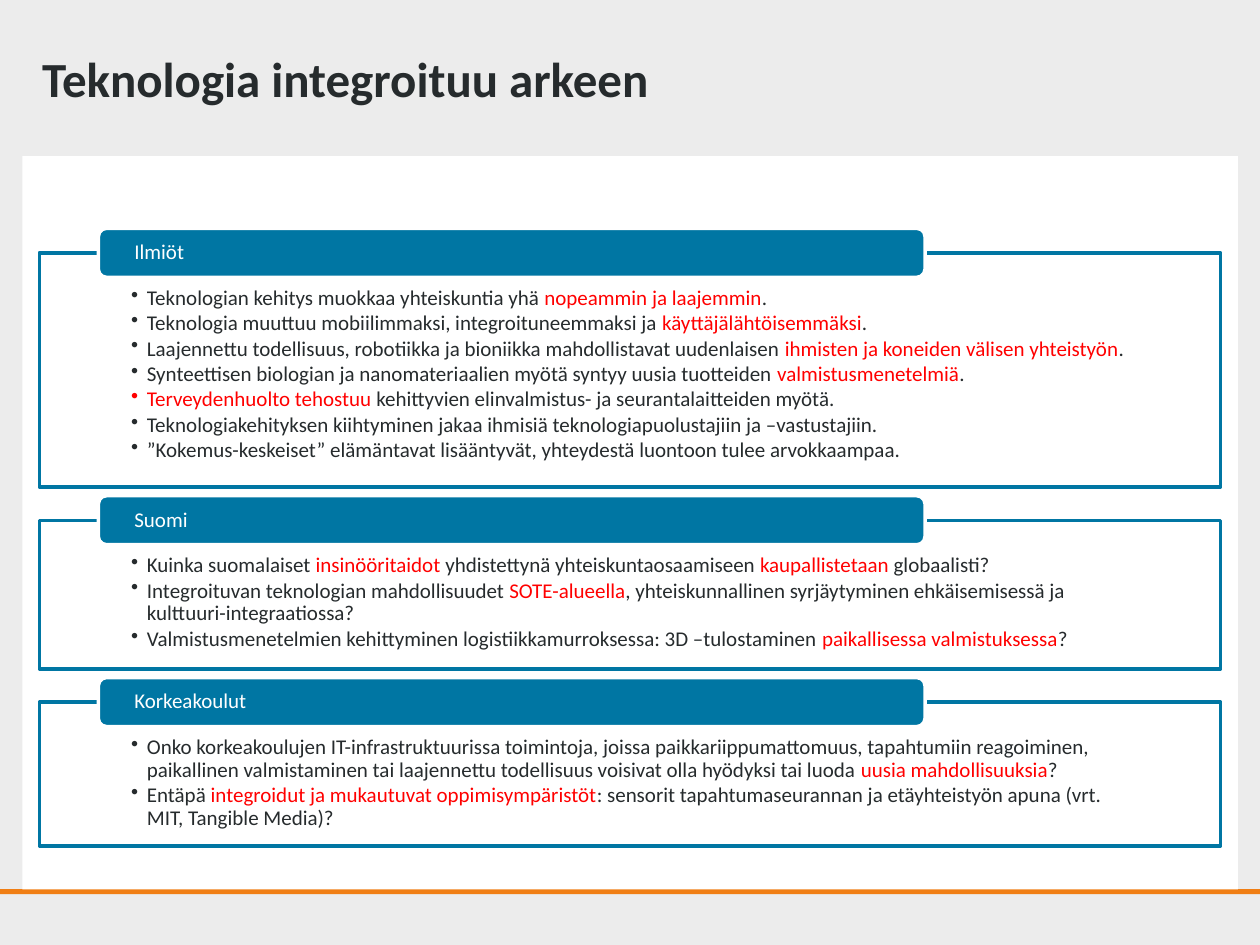
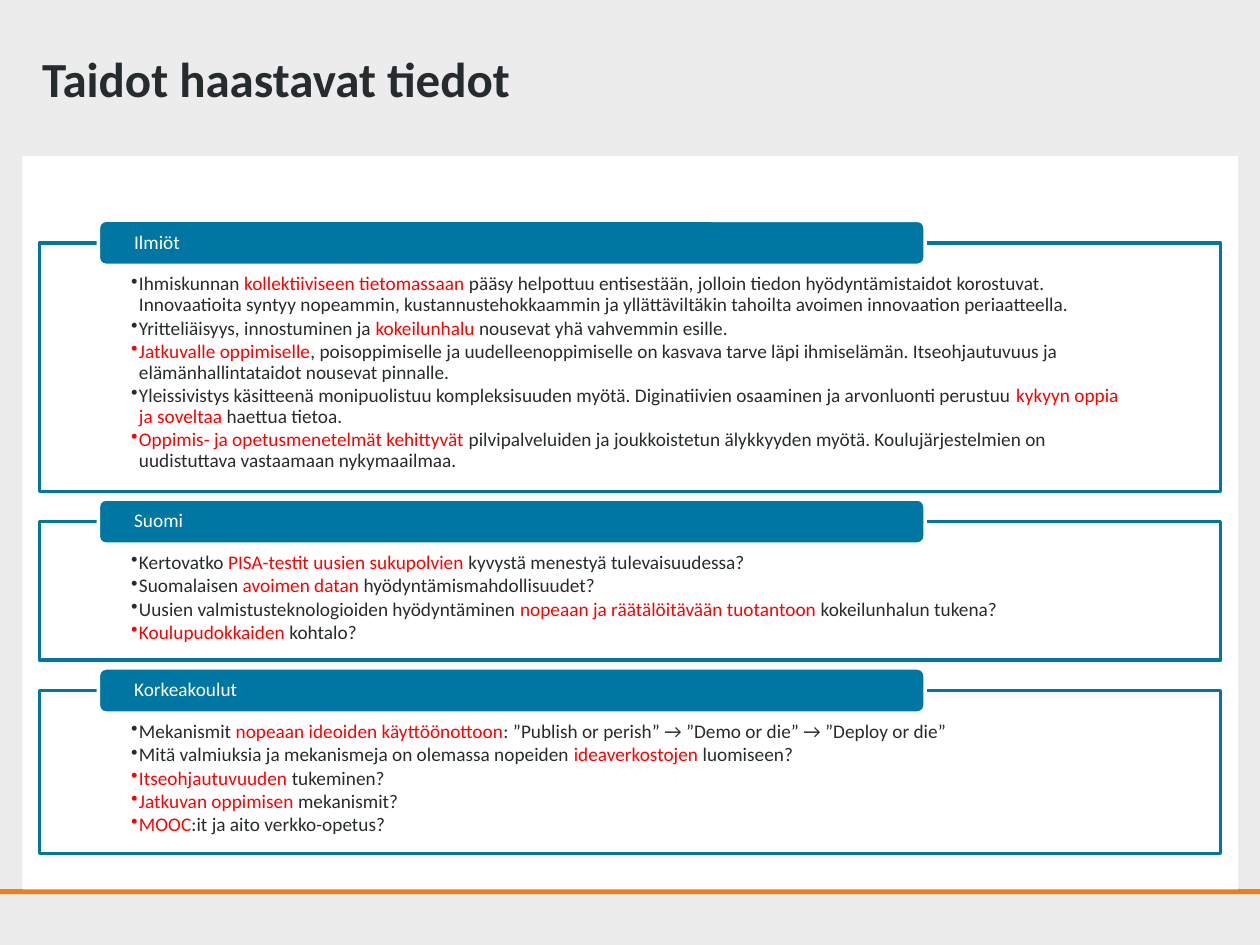
from lxml import etree
from pptx import Presentation
from pptx.dml.color import RGBColor
from pptx.enum import shapes, text
from pptx.oxml import ns
from pptx.util import Pt

INK, RED, BLUE, ORANGE = "262B2D", "FF0000", "0076A3", "F07E14"
WHITE, GREY = "FFFFFF", "ECECEC"
FONT = "Calibri"
RECT = shapes.MSO_SHAPE.RECTANGLE
ROUNDED = shapes.MSO_SHAPE.ROUNDED_RECTANGLE


def rgb(code):
    return RGBColor.from_string(code)


class Deck:
    def __init__(self):
        self.prs = Presentation()
        self.prs.slide_width, self.prs.slide_height = Pt(720), Pt(540)
        background = self.prs.slide_master.background.fill
        background.solid()
        background.fore_color.rgb = rgb(GREY)
        self.slide = None

    def new_slide(self, title):
        self.slide = self.prs.slides.add_slide(self.prs.slide_layouts[5])
        self.box(RECT, 0, 508.1, 720, 2.9, ORANGE)
        self.box(RECT, 12.8, 89.2, 694.6, 419, WHITE)
        heading = self.slide.shapes.title
        heading.left, heading.top = Pt(18), Pt(0)
        heading.width, heading.height = Pt(684), Pt(88.8)
        self.insets(heading.text_frame, 6, 3)
        heading.text_frame.vertical_anchor = text.MSO_ANCHOR.MIDDLE
        line = heading.text_frame.paragraphs[0]
        line.alignment = text.PP_ALIGN.LEFT
        self.add_words(line, title, 28, INK)
        line.font.bold = True

    def box(self, kind, left, top, width, height, fill, outline=None):
        shape = self.slide.shapes.add_shape(
            kind, Pt(left), Pt(top), Pt(width), Pt(height))
        shape.shadow.inherit = False
        shape.fill.solid()
        shape.fill.fore_color.rgb = rgb(fill)
        if outline:
            shape.line.color.rgb = rgb(outline)
            shape.line.width = Pt(2)
        else:
            shape.line.fill.background()
        return shape

    def insets(self, frame, side, top, bottom=None):
        frame.word_wrap = True
        frame.margin_left = frame.margin_right = Pt(side)
        frame.margin_top = Pt(top)
        frame.margin_bottom = Pt(top if bottom is None else bottom)

    def add_words(self, paragraph, marked, size, color):
        """Add the words as runs; those between asterisks become red."""
        paragraph.font.name = FONT
        paragraph.font.size = Pt(size)
        for i, part in enumerate(marked.split("*")):
            if part:
                run = paragraph.add_run()
                run.text = part
                run.font.color.rgb = rgb(RED if i % 2 else color)

    def bullet(self, paragraph, indent):
        props = paragraph._p.get_or_add_pPr()
        props.set("marL", str(Pt(indent)))
        props.set("indent", str(-Pt(indent)))
        etree.SubElement(props, ns.qn("a:buChar")).set("char", "•")

    def section(self, name, points, top, height, size, indent, tab_height):
        """Draw a framed list with its name on a tab across the top edge."""
        frame = self.box(RECT, 22.5, top, 675, height, WHITE, BLUE).text_frame
        self.insets(frame, 52.4, 1.63 * size, 6)
        frame.vertical_anchor = text.MSO_ANCHOR.TOP
        for i, point in enumerate(points):
            line = frame.add_paragraph() if i else frame.paragraphs[0]
            line.alignment = text.PP_ALIGN.LEFT
            line.line_spacing = 0.9
            line.space_after = Pt(0.13 * size)
            self.bullet(line, indent)
            self.add_words(line, point, size, INK)

        tab = self.box(ROUNDED, 56.2, top - tab_height / 2, 472.4, tab_height,
                       BLUE, WHITE).text_frame
        self.insets(tab, 19.2, 0)
        tab.vertical_anchor = text.MSO_ANCHOR.MIDDLE
        label = tab.paragraphs[0]
        label.alignment = text.PP_ALIGN.LEFT
        label.line_spacing = 0.9
        self.add_words(label, name, size, WHITE)

    def sections(self, content, top, gap, **style):
        for name, height, points in content:
            self.section(name, points, top, height, **style)
            top += height + gap


INTEGRATION = [
    ("Ilmiöt", 133.9, [
        "Teknologian kehitys muokkaa yhteiskuntia yhä *nopeammin ja laajemmin*.",
        "Teknologia muuttuu mobiilimmaksi, integroituneemmaksi ja *käyttäjälähtöisemmäksi*.",
        "Laajennettu todellisuus, robotiikka ja bioniikka mahdollistavat uudenlaisen "
        "*ihmisten ja koneiden välisen yhteistyön*.",
        "Synteettisen biologian ja nanomateriaalien myötä syntyy uusia tuotteiden "
        "*valmistusmenetelmiä*.",
        "*Terveydenhuolto tehostuu *kehittyvien elinvalmistus- ja seurantalaitteiden myötä.",
        "Teknologiakehityksen kiihtyminen jakaa ihmisiä teknologiapuolustajiin ja –vastustajiin.",
        "”Kokemus-keskeiset” elämäntavat lisääntyvät, yhteydestä luontoon tulee arvokkaampaa.",
    ]),
    ("Suomi", 85, [
        "Kuinka suomalaiset *insinööritaidot* yhdistettynä yhteiskuntaosaamiseen "
        "*kaupallistetaan* globaalisti?",
        "Integroituvan teknologian mahdollisuudet *SOTE-alueella*, yhteiskunnallinen "
        "syrjäytyminen ehkäisemisessä ja kulttuuri-integraatiossa?",
        "Valmistusmenetelmien kehittyminen logistiikkamurroksessa: 3D –tulostaminen "
        "*paikallisessa valmistuksessa*?",
    ]),
    ("Korkeakoulut", 82.2, [
        "Onko korkeakoulujen IT-infrastruktuurissa toimintoja, joissa paikkariippumattomuus, "
        "tapahtumiin reagoiminen, paikallinen valmistaminen tai laajennettu todellisuus "
        "voisivat olla hyödyksi tai luoda *uusia mahdollisuuksia*?",
        "Entäpä *integroidut ja mukautuvat oppimisympäristöt*: sensorit tapahtumaseurannan "
        "ja etäyhteistyön apuna (vrt. MIT, Tangible Media)?",
    ]),
]

SKILLS = [
    ("Ilmiöt", 142, [
        "Ihmiskunnan *kollektiiviseen tietomassaan *pääsy helpottuu entisestään, jolloin "
        "tiedon hyödyntämistaidot korostuvat. Innovaatioita syntyy nopeammin, "
        "kustannustehokkaammin ja yllättäviltäkin tahoilta avoimen innovaation periaatteella.",
        "Yritteliäisyys, innostuminen ja *kokeilunhalu* nousevat yhä vahvemmin esille.",
        "*Jatkuvalle oppimiselle*, poisoppimiselle ja uudelleenoppimiselle on kasvava tarve "
        "läpi ihmiselämän. Itseohjautuvuus ja elämänhallintataidot nousevat pinnalle.",
        "Yleissivistys käsitteenä monipuolistuu kompleksisuuden myötä. Diginatiivien "
        "osaaminen ja arvonluonti perustuu *kykyyn oppia ja soveltaa *haettua tietoa.",
        "*Oppimis- ja opetusmenetelmät kehittyvät *pilvipalveluiden ja joukkoistetun "
        "älykkyyden myötä. Koulujärjestelmien on uudistuttava vastaamaan nykymaailmaa.",
    ]),
    ("Suomi", 79.2, [
        "Kertovatko *PISA-testit uusien sukupolvien *kyvystä menestyä tulevaisuudessa?",
        "Suomalaisen *avoimen datan *hyödyntämismahdollisuudet?",
        "Uusien valmistusteknologioiden hyödyntäminen "
        "*nopeaan ja räätälöitävään tuotantoon *kokeilunhalun tukena?",
        "*Koulupudokkaiden* kohtalo?",
    ]),
    ("Korkeakoulut", 93, [
        "Mekanismit *nopeaan ideoiden käyttöönottoon*: "
        "”Publish or perish” → ”Demo or die” → ”Deploy or die”",
        "Mitä valmiuksia ja mekanismeja on olemassa nopeiden *ideaverkostojen* luomiseen?",
        "*Itseohjautuvuuden* tukeminen?",
        "*Jatkuvan oppimisen *mekanismit?",
        "*MOOC*:it ja aito verkko-opetus?",
    ]),
]


def main():
    deck = Deck()
    deck.new_slide("Teknologia integroituu arkeen")
    deck.sections(INTEGRATION, 144.5, 18.9, size=12, indent=9, tab_height=28)
    deck.new_slide("Taidot haastavat tiedot")
    deck.sections(SKILLS, 138.8, 17.3, size=11, indent=4.5, tab_height=25.8)
    deck.prs.save("out.pptx")


if __name__ == "__main__":
    main()
